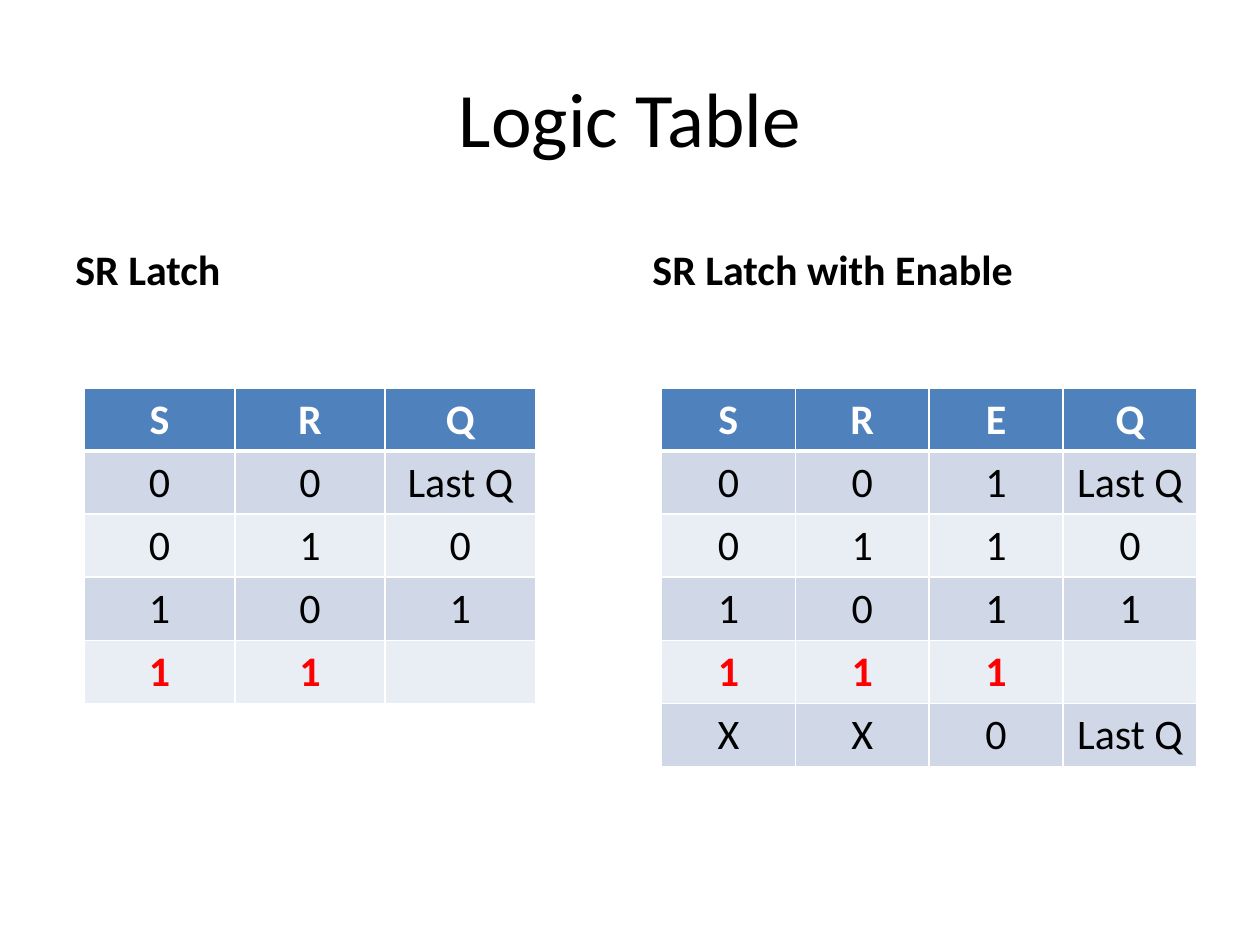
import pptx
import pptx.dml.color
import pptx.enum.text
import pptx.oxml
import pptx.oxml.ns
import pptx.util

Inches = pptx.util.Inches
Align = pptx.enum.text.PP_ALIGN
Anchor = pptx.enum.text.MSO_ANCHOR

TITLE = "Logic Table"
LATCHES = [
    {
        "heading": "SR Latch", "heading_left": 0.5,
        "left": 0.67, "width": 3.58,
        "rows": [
            ("S", "R", "Q"),
            ("0", "0", "Last Q"),
            ("0", "1", "0"),
            ("1", "0", "1"),
            ("1", "1", ""),
        ],
    },
    {
        "heading": "SR Latch with Enable", "heading_left": 5.08,
        "left": 5.25, "width": 4.25,
        "rows": [
            ("S", "R", "E", "Q"),
            ("0", "0", "1", "Last Q"),
            ("0", "1", "1", "0"),
            ("1", "0", "1", "1"),
            ("1", "1", "1", ""),
            ("X", "X", "0", "Last Q"),
        ],
    },
]
FORBIDDEN_ROW = 4
TABLE_TOP, ROW_HEIGHT = 3.08, 0.48
HEADER_FILL, BAND_FILLS = "4F81BD", ("E9EDF4", "D0D8E8")
BLACK, WHITE, RED = "000000", "FFFFFF", "FF0000"


def color(value):
    return pptx.dml.color.RGBColor.from_string(value)


def write(frame, text, size=24, ink=BLACK, bold=False, align=Align.LEFT):
    para = frame.paragraphs[0]
    para.alignment = align
    if text:
        span = para.add_run()
        span.text = text
        span.font.name = "Calibri"
        span.font.size = pptx.util.Pt(size)
        span.font.bold = bold
        span.font.color.rgb = color(ink)


def add_text(page, text, left, top, width, height, anchor, **style):
    box = page.shapes.add_textbox(Inches(left), Inches(top), Inches(width), Inches(height))
    box.text_frame.word_wrap = True
    box.text_frame.vertical_anchor = anchor
    write(box.text_frame, text, **style)


def set_borders(cell, row):
    widths = {"lnL": 1, "lnR": 1, "lnT": 3 if row == 1 else 1, "lnB": 3 if row == 0 else 1}
    properties = cell._tc.get_or_add_tcPr()
    for position, (side, width) in enumerate(widths.items()):
        properties.insert(position, pptx.oxml.parse_xml(
            f'<a:{side} {pptx.oxml.ns.nsdecls("a")} w="{pptx.util.Pt(width)}">'
            f'<a:solidFill><a:srgbClr val="{WHITE}"/></a:solidFill></a:{side}>'))


def add_truth_table(page, rows, left, width):
    count = len(rows[0])
    table = page.shapes.add_table(
        len(rows), count, Inches(left), Inches(TABLE_TOP),
        Inches(width), Inches(ROW_HEIGHT * len(rows))).table
    for column in table.columns:
        column.width = Inches(width / count)
    for row, values in enumerate(rows):
        table.rows[row].height = Inches(ROW_HEIGHT)
        ink = WHITE if row == 0 else RED if row == FORBIDDEN_ROW else BLACK
        fill = HEADER_FILL if row == 0 else BAND_FILLS[row % 2]
        for column, value in enumerate(values):
            cell = table.cell(row, column)
            cell.fill.solid()
            cell.fill.fore_color.rgb = color(fill)
            set_borders(cell, row)
            write(cell.text_frame, value, ink=ink, bold=ink != BLACK, align=Align.CENTER)


def main():
    deck = pptx.Presentation()
    deck.slide_width, deck.slide_height = Inches(10), Inches(7.5)
    page = deck.slides.add_slide(deck.slide_layouts[6])
    add_text(page, TITLE, 0.5, 0.3, 9, 1.25, Anchor.MIDDLE, size=44, align=Align.CENTER)
    for latch in LATCHES:
        add_text(page, latch["heading"], latch["heading_left"], 1.68, 4.42, 0.7,
                 Anchor.BOTTOM, bold=True)
        add_truth_table(page, latch["rows"], latch["left"], latch["width"])
    deck.save("out.pptx")


if __name__ == "__main__":
    main()
